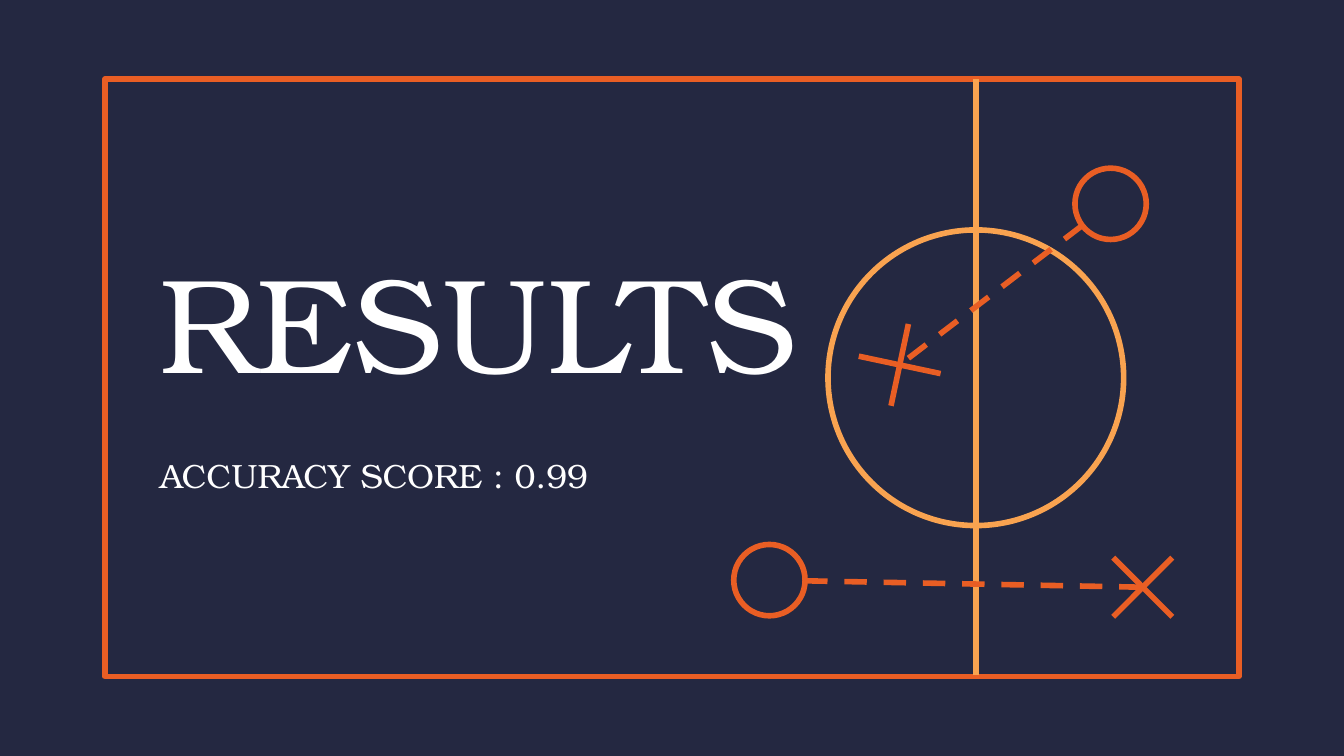
from dataclasses import dataclass
from math import cos, dist, radians, sin

from lxml.etree import SubElement
from pptx import Presentation
from pptx.dml.color import RGBColor as Color
from pptx.enum.dml import MSO_LINE as Dash
from pptx.enum.shapes import MSO_CONNECTOR as Connector, MSO_SHAPE as Shape
from pptx.enum.text import MSO_ANCHOR as Anchor, MSO_AUTO_SIZE as AutoSize, PP_ALIGN as Align
from pptx.oxml.ns import qn
from pptx.util import Pt


@dataclass(frozen=True)
class Theme:
    navy: Color = Color.from_string("242841")
    orange: Color = Color.from_string("E95E24")
    amber: Color = Color.from_string("F9A350")
    white: Color = Color.from_string("FFFFFF")
    font: str = "TeX Gyre Bonum"
    title_size: float = 72
    body_size: float = 18
    stroke: float = 3


class CourtSlide:
    """Holds the theme and the slide being drawn; all lengths are points."""

    def __init__(self, slide, theme):
        self.slide, self.theme = slide, theme
        fill = slide.background.fill
        fill.solid()
        fill.fore_color.rgb = theme.navy

    def stroke(self, line, color, dash=None):
        line.color.rgb = color
        line.width = Pt(self.theme.stroke)
        if dash:
            line.dash_style = dash

    def outline(self, kind, left, top, width, height, color, fill=None):
        shape = self.slide.shapes.add_shape(kind, Pt(left), Pt(top), Pt(width), Pt(height))
        shape.shadow.inherit = False
        if fill is None:
            shape.fill.background()
        else:
            shape.fill.solid()
            shape.fill.fore_color.rgb = fill
        self.stroke(shape.line, color)

    def circle(self, center, radius, color, fill=None):
        x, y = center
        self.outline(Shape.OVAL, x - radius, y - radius, 2 * radius, 2 * radius, color, fill)

    def line(self, start, end, color, dash=None):
        points = [Pt(value) for value in (*start, *end)]
        connector = self.slide.shapes.add_connector(Connector.STRAIGHT, *points)
        self.stroke(connector.line, color, dash)
        SubElement(connector._element.spPr, qn("a:effectLst"))

    def cross(self, center, angle, arm=22.4):
        x, y = center
        for turn in (angle, angle + 90):
            dx, dy = arm * cos(radians(turn)), arm * sin(radians(turn))
            self.line((x - dx, y - dy), (x + dx, y + dy), self.theme.orange)

    def play(self, player, target, angle, radius=19.1):
        """Draw a player ring, a target cross and the dashed pass from ring edge to cross."""
        theme = self.theme
        self.circle(player, radius, theme.orange, theme.navy)
        self.cross(target, angle)
        share = radius / dist(player, target)
        edge = [a + (b - a) * share for a, b in zip(player, target)]
        self.line(edge, target, theme.orange, Dash.DASH)

    def text(self, box, words, bounds, size, space_after=0):
        for name, value in zip(("left", "top", "width", "height"), bounds):
            setattr(box, name, Pt(value))
        frame = box.text_frame
        frame.text = words
        frame_format = {
            "word_wrap": True,
            "auto_size": AutoSize.NONE,
            "vertical_anchor": Anchor.MIDDLE,
            **{f"margin_{side}": Pt(7.2) for side in ("left", "top", "right", "bottom")},
        }
        para = frame.paragraphs[0]
        para_format = {"alignment": Align.LEFT, "space_before": Pt(0), "space_after": Pt(space_after)}
        font = para.runs[0].font
        font_format = {"name": self.theme.font, "size": Pt(size), "bold": False}
        for target, values in ((frame, frame_format), (para, para_format), (font, font_format)):
            for name, value in values.items():
                setattr(target, name, value)
        font.color.rgb = self.theme.white


def main():
    deck = Presentation()
    deck.slide_width, deck.slide_height = Pt(720), Pt(405)
    theme = Theme()
    page = deck.slides.add_slide(deck.slide_layouts[0])
    court = CourtSlide(page, theme)

    left, top, width, height = 56.2, 42.4, 607.6, 320
    court.outline(Shape.RECTANGLE, left, top, width, height, theme.orange)
    halfway = 522.8
    court.line((halfway, top), (halfway, top + height - 0.6), theme.amber)
    court.circle((halfway, top + height / 2), 79.2, theme.amber)

    title, subtitle = page.placeholders
    court.text(title, "RESULTS", (78.5, 118.8, 563.8, 105), theme.title_size)
    court.text(subtitle, "ACCURACY SCORE : 0.99", (78.5, 223.2, 375.8, 62.6), theme.body_size, 12)

    court.play(player=(595, 109.2), target=(482, 195.5), angle=12)
    court.play(player=(412.2, 310.8), target=(612.2, 314.6), angle=45)

    deck.save("out.pptx")


if __name__ == "__main__":
    main()
